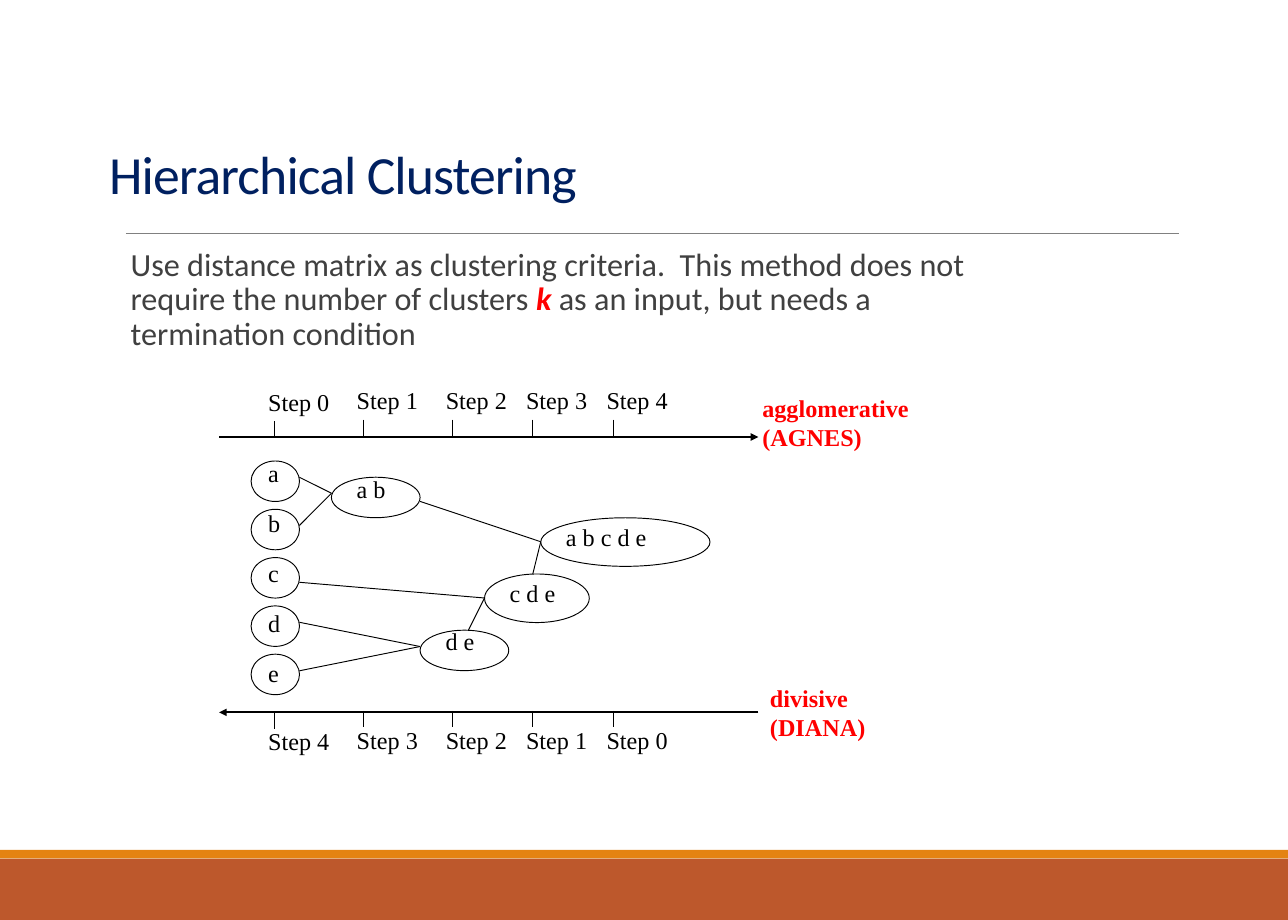
from lxml import etree
from pptx import Presentation
from pptx.dml.color import RGBColor
from pptx.enum.shapes import MSO_CONNECTOR, MSO_SHAPE
from pptx.enum.text import MSO_ANCHOR, MSO_AUTO_SIZE, PP_ALIGN
from pptx.oxml.ns import qn
from pptx.util import Pt

LINE = MSO_CONNECTOR.STRAIGHT
RECT, OVAL = MSO_SHAPE.RECTANGLE, MSO_SHAPE.OVAL
TOP, MIDDLE = MSO_ANCHOR.TOP, MSO_ANCHOR.MIDDLE
LEFT = PP_ALIGN.LEFT
NO_FIT = MSO_AUTO_SIZE.NONE

BLACK = RGBColor(0x00, 0x00, 0x00)
RED = RGBColor(0xFF, 0x00, 0x00)
NAVY = RGBColor(0x00, 0x20, 0x60)
DARK_GREY = RGBColor(0x40, 0x40, 0x40)
GREY = RGBColor(0x80, 0x80, 0x80)
RUST = RGBColor(0xBD, 0x58, 0x2C)
ORANGE = RGBColor(0xE4, 0x83, 0x12)

TITLE = {"name": "Calibri", "size": Pt(42), "bold": False}
BODY = {"name": "Calibri", "size": Pt(25.2), "bold": False}
BODY_KEY = {**BODY, "bold": True, "italic": True}
LABEL = {"name": "Times New Roman", "size": Pt(18.9), "bold": False}
METHOD = {**LABEL, "bold": True}

AXIS_LEFT, AXIS_RIGHT = 171.5, 593.5
TICKS = [215.2, 284.5, 354.2, 417, 480]
TICK_LENGTH = 12.7
FIRST_DROP = 1.3  # the first tick and its label sit slightly lower
LABEL_SHIFT = 12.4
LABEL_HEIGHT = 30.2
OVAL_HEIGHT = 31.7


class Slide:
    def __init__(self, prs):
        self.s = prs.slides.add_slide(prs.slide_layouts[5])

    def run(self, p, text, fmt, color):
        r = p.add_run()
        r.text = text
        for key, value in fmt.items():
            setattr(r.font, key, value)
        r.font.color.rgb = color
        return r

    def title(self, text, x, y, w, h):
        sp = self.s.shapes.title
        sp.left, sp.top, sp.width, sp.height = Pt(x), Pt(y), Pt(w), Pt(h)
        tf = sp.text_frame
        tf.word_wrap, tf.auto_size, tf.vertical_anchor = True, NO_FIT, MIDDLE
        tf.margin_left = tf.margin_right = Pt(7.9)
        p = tf.paragraphs[0]
        p.alignment, p.line_spacing = LEFT, 0.85
        r = self.run(p, text, TITLE, NAVY)
        r._r.get_or_add_rPr().set("spc", "-70")

    def text(self, paragraphs, x, y, w, h, wrap=False):
        """Add a text box; each paragraph is a list of (text, format, colour)."""
        tf = self.s.shapes.add_textbox(Pt(x), Pt(y), Pt(w), Pt(h)).text_frame
        tf.word_wrap, tf.vertical_anchor = wrap, TOP
        for i, runs in enumerate(paragraphs):
            p = tf.add_paragraph() if i else tf.paragraphs[0]
            p.alignment = LEFT
            for text, fmt, color in runs:
                self.run(p, text, fmt, color)
        return tf

    def label(self, text, x, y, w, wrap=False):
        self.text([[(text, LABEL, BLACK)]], x, y, w, LABEL_HEIGHT, wrap)

    def method(self, name, acronym, x, y, w):
        self.text([[(t, METHOD, RED)] for t in (name, acronym)], x, y, w, 53.3)

    def shape(self, kind, x, y, w, h, fill=None):
        """Add a filled shape without a line, or an outline without a fill."""
        sp = self.s.shapes.add_shape(kind, Pt(x), Pt(y), Pt(w), Pt(h))
        sp.shadow.inherit = False
        if fill is None:
            sp.fill.background()
            sp.line.color.rgb, sp.line.width = BLACK, Pt(0.75)
        else:
            sp.fill.solid()
            sp.fill.fore_color.rgb = fill
            sp.line.fill.background()

    def line(self, x1, y1, x2, y2, color=BLACK, width=0.75, arrow=False):
        c = self.s.shapes.add_connector(LINE, Pt(x1), Pt(y1), Pt(x2), Pt(y2))
        c.line.color.rgb, c.line.width = color, Pt(width)
        sp_pr = c._element.spPr
        if arrow:
            ln = sp_pr.find(qn("a:ln"))
            etree.SubElement(ln, qn("a:tailEnd"), type="triangle")
        etree.SubElement(sp_pr, qn("a:effectLst"))

    def axis(self, start, end, y, tick_top, label_top, steps):
        """Draw an arrow from start to end with a labelled tick per step."""
        self.line(start, y, end, y, width=1.5, arrow=True)
        for i, (x, step) in enumerate(zip(TICKS, steps)):
            drop = 0 if i else FIRST_DROP
            self.line(x, tick_top + drop, x, tick_top + drop + TICK_LENGTH)
            self.label(f"Step {step}", x - LABEL_SHIFT, label_top + drop, 63.4, True)


def main():
    prs = Presentation()
    prs.slide_width, prs.slide_height = Pt(1008), Pt(720)
    s = Slide(prs)

    s.shape(RECT, 0, 672, 1008, 48, RUST)
    s.shape(RECT, 0, 665.2, 1008, 6.6, ORANGE)
    s.line(98.6, 182.4, 923, 182.4, GREY, 0.5)
    s.title("Hierarchical Clustering", 77.5, 120.8, 603.5, 36.7)
    tf = s.text([[
        ("Use distance matrix as clustering criteria.  This method does not "
         "require the number of clusters ", BODY, DARK_GREY),
        ("k", BODY_KEY, RED),
        (" as an input, but needs a termination condition", BODY, DARK_GREY),
    ]], 85, 190.8, 687, 100.8, wrap=True)
    tf.margin_left, tf.margin_right = Pt(17.3), Pt(7.9)
    tf.paragraphs[0].line_spacing = 0.9

    s.axis(AXIS_LEFT, AXIS_RIGHT, 342, 328.5, 298.2, range(5))
    s.axis(AXIS_RIGHT, AXIS_LEFT, 557.5, 556.3, 563.9, reversed(range(5)))

    for i, item in enumerate("abcde"):
        s.label(item, 202.8, 354.8 + 39.3 * i, 24)
        s.shape(OVAL, 196.5, 360.8 + 37.8 * i, 37.9, OVAL_HEIGHT)

    # text, label x, y, width, then oval x, y, width, height
    clusters = [
        ("a b", 272, 367.4, 37.4, 259.4, 373.5, 69.4, OVAL_HEIGHT),
        ("d e", 341.6, 486.7, 37.4, 328.8, 493.2, 69.4, OVAL_HEIGHT),
        ("c d e", 391.8, 449.2, 50.4, 379.2, 449.2, 82, 38),
        ("a b c d e", 435.8, 405.2, 78.5, 423.2, 405.2, 132.5, 38),
    ]
    for text, x, y, w, *oval in clusters:
        s.label(text, x, y, w)
        s.shape(OVAL, *oval)

    links = [
        (234.3, 373.5, 259.4, 386), (234.3, 411.3, 259.4, 386),
        (234.3, 487, 328.8, 506), (234.3, 525, 328.8, 506),
        (234.3, 455.7, 379.2, 468), (366.6, 493.2, 379.2, 468),
        (328.8, 392.4, 423.2, 424), (417, 449.2, 423.2, 424),
    ]
    for link in links:
        s.line(*link)

    s.method("agglomerative", "(AGNES)", 589.5, 304.4, 130.3)
    s.method("divisive", "(DIANA)", 595.5, 531.4, 90)
    prs.save("out.pptx")


if __name__ == "__main__":
    main()
